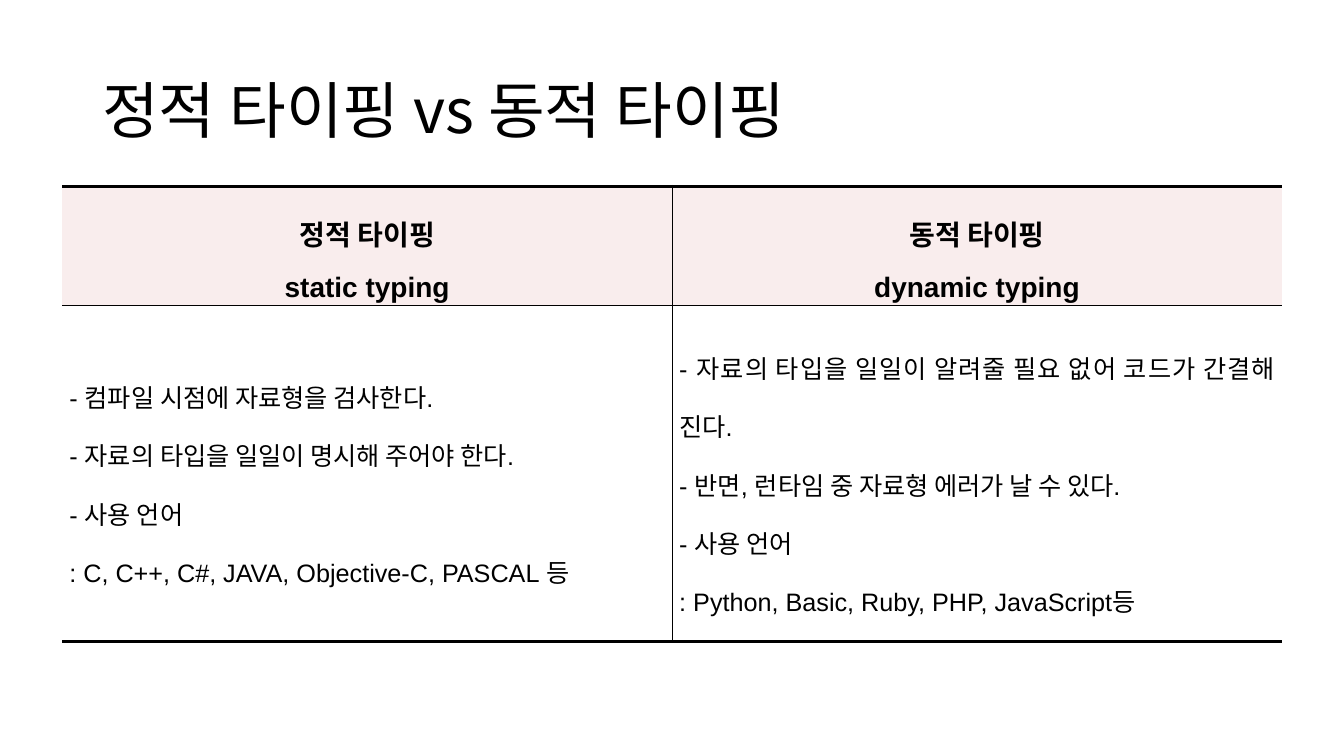
import pptx
import pptx.dml.color
import pptx.enum.text
import pptx.oxml.ns
import pptx.util
from lxml import etree

Pt = pptx.util.Pt
ALIGN = pptx.enum.text.PP_ALIGN
MIDDLE = pptx.enum.text.MSO_ANCHOR.MIDDLE
qn = pptx.oxml.ns.qn

BLACK = pptx.dml.color.RGBColor(0x00, 0x00, 0x00)
PINK = pptx.dml.color.RGBColor(0xF9, 0xED, 0xED)
LATIN, KOREAN = "Arial", "Noto Sans CJK KR"

# Rule widths in points
THICK, MEDIUM, THIN = 2.25, 0.56, 0.28

# Height of the heading row in points, enough for its two lines
HEADING_HEIGHT = 85

TITLE = "정적 타이핑 vs 동적 타이핑"
HEADINGS = [
    ["정적 타이핑", "static typing"],
    ["동적 타이핑", "dynamic typing"],
]
FEATURES = [
    ["- 컴파일 시점에 자료형을 검사한다.",
     "- 자료의 타입을 일일이 명시해 주어야 한다.",
     "- 사용 언어",
     ": C, C++, C#, JAVA, Objective-C, PASCAL 등"],
    ["- 자료의 타입을 일일이 알려줄 필요 없어 코드가 간결해 진다.",
     "- 반면, 런타임 중 자료형 에러가 날 수 있다.",
     "- 사용 언어",
     ": Python, Basic, Ruby, PHP, JavaScript등"],
]


def write_lines(frame, lines, size, latin, align, spacing, bold=False):
    """Fill a text frame, one paragraph a line."""
    for number, line in enumerate(lines):
        paragraph = frame.add_paragraph() if number else frame.paragraphs[0]
        paragraph.text = line
        paragraph.alignment = align
        paragraph.line_spacing = spacing
        font = paragraph.font
        font.size, font.bold, font.name = Pt(size), bold, latin
        font.color.rgb = BLACK
        # Korean typeface, with pair kerning off to keep full word spaces
        properties = paragraph._p.get_or_add_pPr()
        defaults = properties.find(qn("a:defRPr"))
        defaults.set("kern", "0")
        etree.SubElement(defaults, qn("a:ea"), typeface=KOREAN)
        # Hanging indent for the list of languages
        if line.startswith(":"):
            properties.set("marL", str(Pt(5)))
            properties.set("indent", str(-Pt(5)))


def set_borders(cell, left, right, top, bottom):
    """Rule the four sides of a cell; a width of 0 leaves a side open."""
    properties = cell._tc.get_or_add_tcPr()
    sides = zip("LRTB", (left, right, top, bottom))
    for position, (side, width) in enumerate(sides):
        rule = etree.Element(qn("a:ln" + side), w=str(Pt(width)))
        if width:
            fill = etree.SubElement(rule, qn("a:solidFill"))
            etree.SubElement(fill, qn("a:srgbClr"), val=str(BLACK))
        else:
            etree.SubElement(rule, qn("a:noFill"))
        properties.insert(position, rule)


def add_title(slide, left, top, width, height):
    frame = slide.shapes.add_textbox(Pt(left), Pt(top), Pt(width), Pt(height)).text_frame
    frame.word_wrap = True
    frame.vertical_anchor = MIDDLE
    write_lines(frame, [TITLE], 44, KOREAN, ALIGN.LEFT, 0.9)


def add_comparison(slide, left, top, width, height):
    comparison = slide.shapes.add_table(
        2, 2, Pt(left), Pt(top), Pt(width), Pt(height)).table
    comparison.first_row = comparison.horz_banding = False
    comparison.rows[0].height = Pt(HEADING_HEIGHT)
    comparison.rows[1].height = Pt(height - HEADING_HEIGHT)

    for column in range(2):
        comparison.columns[column].width = Pt(width / 2)
        sides = (THIN, 0) if column else (0, THIN)
        heading, features = comparison.cell(0, column), comparison.cell(1, column)
        for cell in (heading, features):
            cell.vertical_anchor = MIDDLE
            cell.margin_left = cell.margin_right = Pt(5.1)
            cell.margin_top = cell.margin_bottom = Pt(1.4)

        # Heading
        heading.fill.solid()
        heading.fill.fore_color.rgb = PINK
        set_borders(heading, *sides, THICK, MEDIUM)
        write_lines(heading.text_frame, HEADINGS[column], 20, LATIN,
                    ALIGN.CENTER, 1.6, bold=True)

        # Features
        features.fill.background()
        set_borders(features, *sides, MEDIUM, THICK)
        write_lines(features.text_frame, FEATURES[column], 18, LATIN,
                    ALIGN.JUSTIFY, 1.6)


def main():
    deck = pptx.Presentation()
    deck.slide_width, deck.slide_height = Pt(960), Pt(540)
    slide = deck.slides.add_slide(deck.slide_layouts[6])
    add_title(slide, 66, 28.75, 828, 104.4)
    add_comparison(slide, 44.5, 133, 871.2, 325)
    deck.save("out.pptx")


if __name__ == "__main__":
    main()
